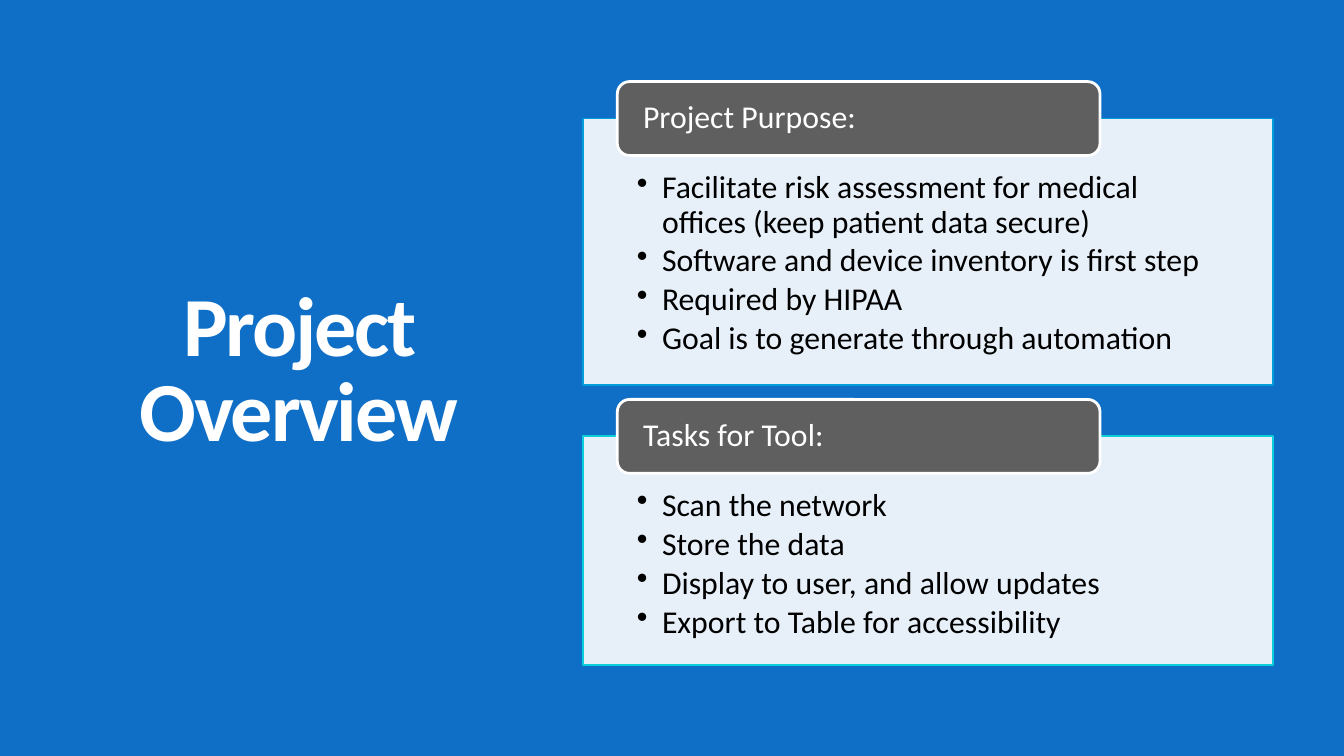
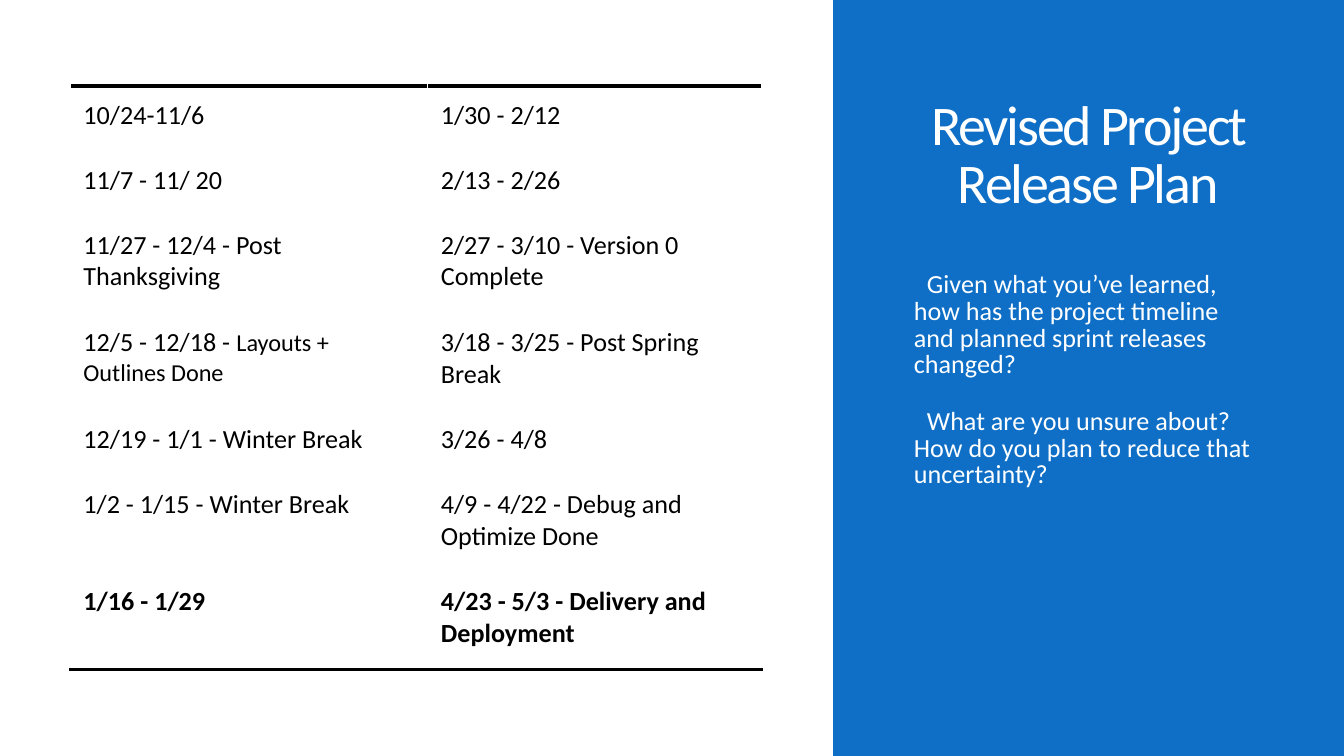
from lxml import etree
from pptx import Presentation
from pptx import util as u
from pptx.dml.color import RGBColor
from pptx.enum import shapes, text
from pptx.oxml import ns

Pt = u.Pt
FONT = "Calibri"
COLORS = {
    "blue": "0F6FC6",
    "white": "FFFFFF",
    "black": "000000",
    "tab": "5F5F5F",
    "sky": "009DD9",
    "cyan": "0BD0D9",
}

OVERVIEW_TITLE = "Project Overview"
CARDS = [
    ("Project Purpose:", "sky", 143, [
        "Facilitate risk assessment for medical offices (keep patient data secure)",
        "Software and device inventory is first step",
        "Required by HIPAA",
        "Goal is to generate through automation",
    ]),
    ("Tasks for Tool:", "cyan", 122.4, [
        "Scan the network",
        "Store the data",
        "Display to user, and allow updates",
        "Export to Table for accessibility",
    ]),
]

PLAN_TITLE = "Revised Project Release Plan"
QUESTIONS = [
    "Given what you’ve learned, how has the project timeline and planned sprint releases changed?",
    "What are you unsure about? How do you plan to reduce that uncertainty?",
]
SPRINTS = [
    ([("10/24-11/6", 14)], [("1/30 - 2/12", 14)]),
    ([("11/7 - 11/ 20", 14)], [("2/13 - 2/26", 14)]),
    ([("11/27 - 12/4 - Post Thanksgiving", 14)], [("2/27 - 3/10 - Version 0 Complete", 14)]),
    ([("12/5 - 12/18 - ", 14), ("Layouts + Outlines Done", 13)],
     [("3/18 - 3/25 - Post Spring Break", 14)]),
    ([("12/19 - 1/1 - Winter Break", 14)], [("3/26 - 4/8", 14)]),
    ([("1/2 - 1/15 - Winter Break", 14)], [("4/9 - 4/22 - Debug and Optimize Done", 14)]),
    ([("1/16 - 1/29", 14)], [("4/23 - 5/3 - Delivery and Deployment", 14)]),
]
COL_WIDTHS = [191.5, 179.2]
SHORT_ROW, TALL_ROW = 34.8, 52.1
TALL_ROWS = {2, 3, 5, 6}

CARD_X, CARD_TOP, CARD_W, CARD_GAP = 312.5, 63.5, 369.4, 27.3
TAB_W, TAB_H, TAB_INDENT = 258.6, 39.6, 18.2


def rgb(name):
    return RGBColor.from_string(COLORS[name])


def add_run(p, words, size, color, bold=False, tracking=None):
    r = p.add_run()
    r.text = words
    r.font.size = Pt(size)
    r.font.name = FONT
    r.font.bold = bold
    r.font.color.rgb = rgb(color)
    if tracking is not None:
        r.font._element.set("spc", str(round(tracking * 100)))


def set_paragraph(p, align=text.PP_ALIGN.LEFT, line=0.9, before=0, after=0, bullet=None, hang=0):
    p.alignment = align
    p.line_spacing = line
    p.space_before, p.space_after = Pt(before), Pt(after)
    if bullet:
        pPr = p._p.get_or_add_pPr()
        pPr.set("marL", str(Pt(hang)))
        pPr.set("indent", str(-Pt(hang)))
        etree.SubElement(pPr, ns.qn("a:buChar")).set("char", bullet)


def set_frame(tf, anchor, insets):
    tf.word_wrap = True
    tf.vertical_anchor = anchor
    tf.margin_left, tf.margin_top, tf.margin_right, tf.margin_bottom = map(Pt, insets)


def add_paragraphs(tf, items):
    for i, words in enumerate(items):
        yield (tf.add_paragraph() if i else tf.paragraphs[0]), words


def add_text(s, box, anchor):
    tf = s.shapes.add_textbox(*map(Pt, box)).text_frame
    set_frame(tf, anchor, (7.2, 3.6, 7.2, 3.6))
    return tf


def add_title(s, box, words, size, anchor, bold=False):
    p = add_text(s, box, anchor).paragraphs[0]
    set_paragraph(p, text.PP_ALIGN.CENTER, line=0.85, after=6)
    add_run(p, words, size, "white", bold, tracking=-1.2)


def add_panel(s, kind, box, fill, line=None, width=1, opacity=None):
    sp = s.shapes.add_shape(kind, *map(Pt, box))
    sp.shadow.inherit = False
    sp.fill.solid()
    sp.fill.fore_color.rgb = rgb(fill)
    if opacity:
        clr = sp._element.spPr.find(ns.qn("a:solidFill"))[0]
        etree.SubElement(clr, ns.qn("a:alpha")).set("val", str(opacity * 1000))
    if line:
        sp.line.color.rgb = rgb(line)
        sp.line.width = Pt(width)
    else:
        sp.line.fill.background()
    return sp


def add_card(s, y, label, accent, height, points):
    card = add_panel(s, shapes.MSO_SHAPE.RECTANGLE, (CARD_X, y, CARD_W, height),
                     "white", accent, opacity=90)
    set_frame(card.text_frame, text.MSO_ANCHOR.TOP, (28.7, 28.3, 28.7, 9.4))
    for p, words in add_paragraphs(card.text_frame, points):
        set_paragraph(p, after=2.5, bullet="•", hang=13.5)
        add_run(p, words, 17, "black")

    tab = add_panel(s, shapes.MSO_SHAPE.ROUNDED_RECTANGLE,
                    (CARD_X + TAB_INDENT, y - TAB_H / 2, TAB_W, TAB_H), "tab", "white", 1.5)
    set_frame(tab.text_frame, text.MSO_ANCHOR.MIDDLE, (11.9, 0, 11.9, 0))
    p = tab.text_frame.paragraphs[0]
    set_paragraph(p)
    add_run(p, label, 17, "white")


def add_rule(cell, side):
    ln = etree.Element(ns.qn("a:" + side), w=str(Pt(2)))
    fill = etree.SubElement(ln, ns.qn("a:solidFill"))
    etree.SubElement(fill, ns.qn("a:srgbClr"), val=COLORS["black"])
    cell._tc.get_or_add_tcPr().insert(0, ln)


def add_sprints(s, x, y):
    heights = [TALL_ROW if i in TALL_ROWS else SHORT_ROW for i in range(len(SPRINTS))]
    box = (x, y, sum(COL_WIDTHS), sum(heights))
    table = s.shapes.add_table(len(SPRINTS), len(COL_WIDTHS), *map(Pt, box)).table
    table.first_row = table.horz_banding = False
    for col, width in zip(table.columns, COL_WIDTHS):
        col.width = Pt(width)
    last = len(SPRINTS) - 1
    for i, row in enumerate(SPRINTS):
        table.rows[i].height = Pt(heights[i])
        for j, runs in enumerate(row):
            cell = table.cell(i, j)
            cell.margin_left = cell.margin_right = Pt(7.2)
            cell.margin_top = cell.margin_bottom = Pt(7.2)
            cell.fill.solid()
            cell.fill.fore_color.rgb = rgb("white")
            for words, size in runs:
                add_run(cell.text_frame.paragraphs[0], words, size, "black", bold=i == last)
            if i == 0:
                add_rule(cell, "lnT")
            if i == last:
                add_rule(cell, "lnB")


def add_slide(prs, background):
    s = prs.slides.add_slide(prs.slide_layouts[6])
    s.background.fill.solid()
    s.background.fill.fore_color.rgb = rgb(background)
    return s


def build_overview(prs):
    s = add_slide(prs, "blue")
    add_title(s, (42, 37.5, 236, 325), OVERVIEW_TITLE, 45, text.MSO_ANCHOR.MIDDLE, bold=True)
    y = CARD_TOP
    for label, accent, height, points in CARDS:
        add_card(s, y, label, accent, height, points)
        y += height + CARD_GAP


def build_plan(prs):
    s = add_slide(prs, "white")
    add_panel(s, shapes.MSO_SHAPE.RECTANGLE, (446.4, 0, 273.6, 405), "blue")
    add_title(s, (482.5, 39.5, 201, 79), PLAN_TITLE, 30, text.MSO_ANCHOR.BOTTOM)
    tf = add_text(s, (482.5, 142.5, 201, 198), text.MSO_ANCHOR.TOP)
    for i, (p, words) in enumerate(add_paragraphs(tf, QUESTIONS)):
        set_paragraph(p, line=0.85, before=16 if i else 0, bullet=" ")
        add_run(p, words, 14, "white")
    add_sprints(s, 37.5, 46)


def main():
    prs = Presentation()
    prs.slide_width, prs.slide_height = Pt(720), Pt(405)
    build_overview(prs)
    build_plan(prs)
    prs.save("out.pptx")


if __name__ == "__main__":
    main()
